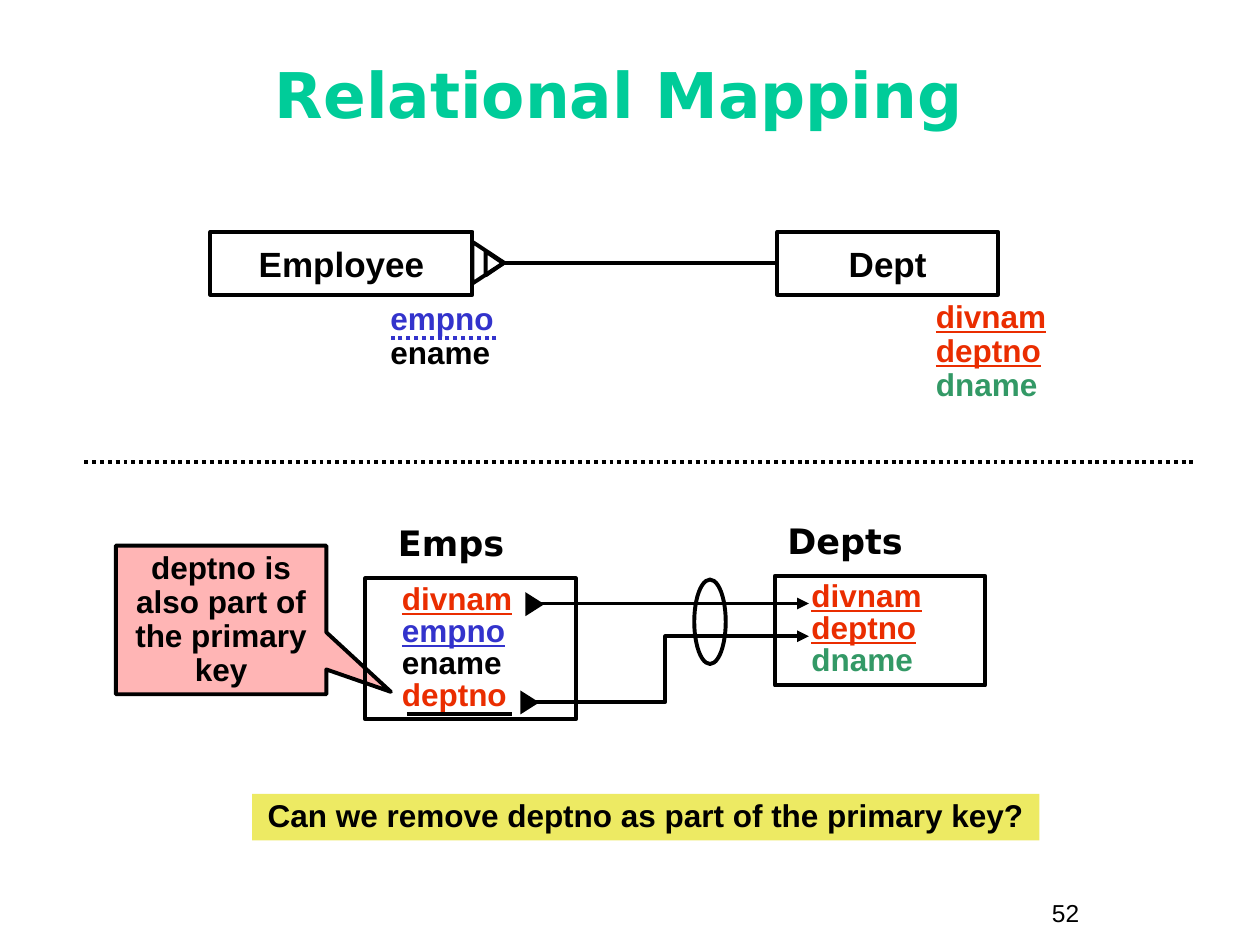
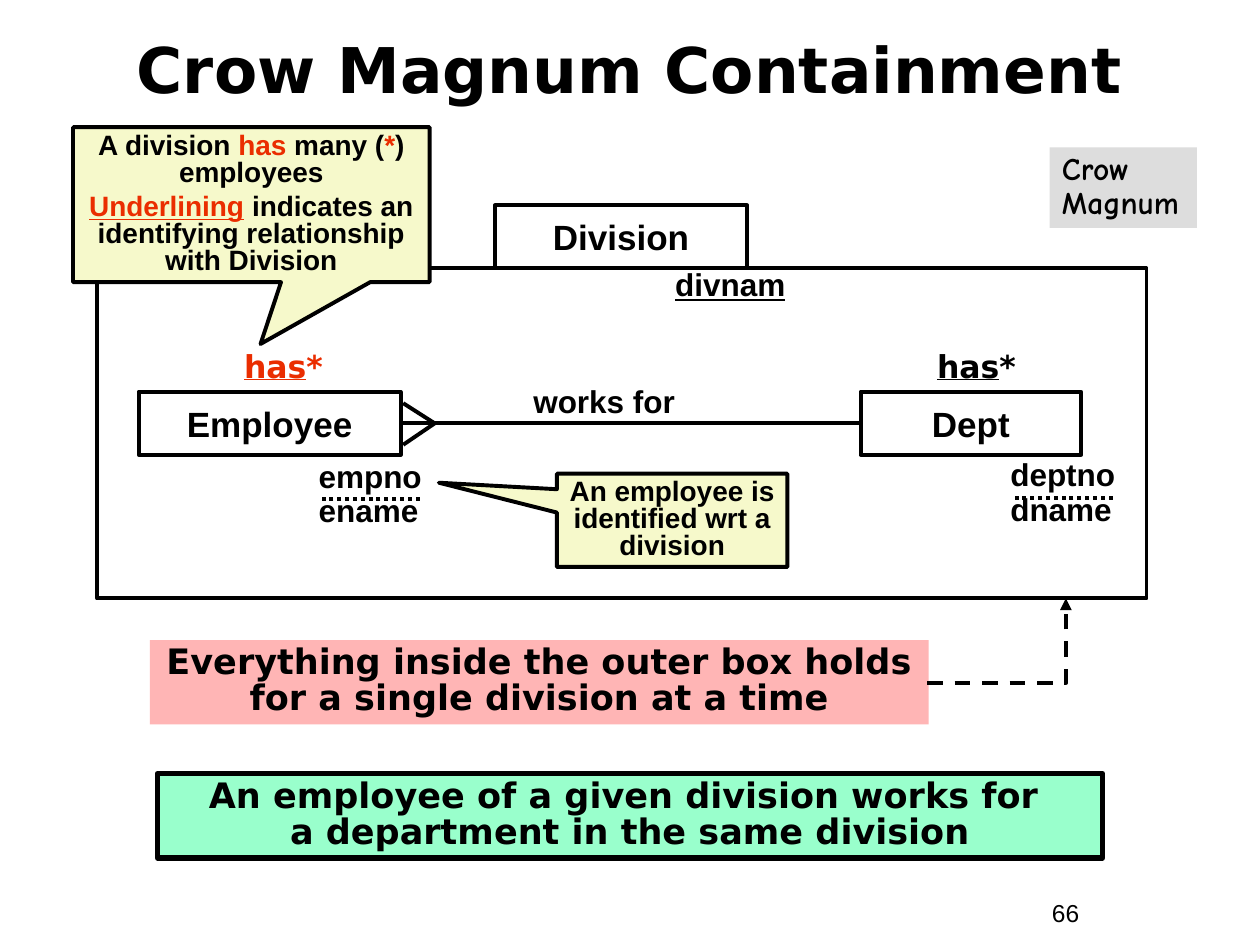
from collections import namedtuple

from lxml import etree
from pptx import Presentation
from pptx import util as u
from pptx.dml.color import RGBColor
from pptx.enum import dml, shapes, text
from pptx.oxml import ns

PX = 9144  # EMU per px, 100 px to the inch

INK = RGBColor(0x00, 0x00, 0x00)
TEAL = RGBColor(0x00, 0xCC, 0x99)
RED = RGBColor(0xEA, 0x2D, 0x00)
BLUE = RGBColor(0x33, 0x33, 0xCC)
GREEN = RGBColor(0x33, 0x99, 0x66)
PINK = RGBColor(0xFF, 0xB5, 0xB5)
YELLOW = RGBColor(0xED, 0xEA, 0x63)
CREAM = RGBColor(0xF6, 0xF9, 0xCB)
MINT = RGBColor(0x99, 0xFF, 0xCC)
GREY = RGBColor(0xDD, 0xDD, 0xDD)

BODY, HEADING, HAND = "Arial", "DejaVu Sans", "Comic Neue"
LEFT, CENTER = text.PP_ALIGN.LEFT, text.PP_ALIGN.CENTER
TOP, MIDDLE = text.MSO_ANCHOR.TOP, text.MSO_ANCHOR.MIDDLE
SHAPE = shapes.MSO_SHAPE
DOTS, DASHES = dml.MSO_LINE.ROUND_DOT, dml.MSO_LINE.DASH

Span = namedtuple("Span", "text color underline", defaults=(INK, False))


def key(name, color=INK):
    return Span(name, color, True)


class Deck:
    """Holds the shared style and the slide being drawn."""

    def __init__(self):
        self.presentation = Presentation()
        self.presentation.slide_width = 1000 * PX
        self.presentation.slide_height = 750 * PX
        self.slide = None

    def new_slide(self, title, box, color, number):
        layout = self.presentation.slide_layouts[5]
        self.slide = self.presentation.slides.add_slide(layout)
        heading = self.slide.shapes.title
        heading.left, heading.top, heading.width, heading.height = (v * PX for v in box)
        self.set_lines(heading, [Span(title, color)], size=36, font=HEADING,
                       align=CENTER, anchor=MIDDLE, spacing=0.85)
        self.label((825, 708, 92, 34), [number], size=14, bold=False)

    def set_lines(self, shape, lines, size=18, font=BODY, bold=True, align=LEFT,
                  anchor=TOP, spacing=1.0, gap=0, indent=0):
        """Each line is a string, a Span, or a list of Spans."""
        frame = shape.text_frame
        frame.word_wrap = True
        frame.auto_size = text.MSO_AUTO_SIZE.NONE
        frame.vertical_anchor = anchor
        frame.margin_left = (10 + indent) * PX
        frame.margin_right = 10 * PX
        frame.margin_top = frame.margin_bottom = 5 * PX
        for index, line in enumerate(lines):
            paragraph = frame.add_paragraph() if index else frame.paragraphs[0]
            paragraph.alignment = align
            paragraph.line_spacing = spacing
            paragraph.space_before = u.Pt(gap if index else 0)
            if isinstance(line, list):
                spans = line
                for span in spans:
                    paragraph.add_run().text = span.text
            else:
                span = Span(line) if isinstance(line, str) else line
                paragraph.text = span.text
                spans = [span] * len(paragraph.runs)
            for run, span in zip(paragraph.runs, spans):
                run.font.name, run.font.size, run.font.bold = font, u.Pt(size), bold
                run.font.color.rgb = span.color
                run.font.underline = span.underline

    def label(self, box, lines, **style):
        shape = self.slide.shapes.add_textbox(*(v * PX for v in box))
        self.set_lines(shape, lines, **style)

    def shape(self, kind, box, fill=None, line=2.25, lines=(), **style):
        shape = self.slide.shapes.add_shape(kind, *(v * PX for v in box))
        shape.shadow.inherit = False
        if fill is None:
            shape.fill.background()
        else:
            shape.fill.solid()
            shape.fill.fore_color.rgb = fill
        if line:
            shape.line.color.rgb = INK
            shape.line.width = u.Pt(line)
        else:
            shape.line.fill.background()
        if lines:
            self.set_lines(shape, lines, **style)
        return shape

    def entity(self, name, x, y, width):
        return self.shape(SHAPE.RECTANGLE, (x, y, width, 50), lines=[name],
                          size=20, align=CENTER, anchor=MIDDLE)

    def callout(self, box, tip, fill, lines, **style):
        shape = self.shape(SHAPE.RECTANGULAR_CALLOUT, box, fill, lines=lines,
                           align=CENTER, anchor=MIDDLE, **style)
        shape.adjustments[0], shape.adjustments[1] = tip

    def banner(self, box, fill, lines, line=0, **style):
        self.shape(SHAPE.RECTANGLE, box, fill, line, lines, **style)

    def triangle(self, box, fill=None, line=2.25):
        """Triangle that points right; the box is the one before turning."""
        self.shape(SHAPE.ISOSCELES_TRIANGLE, box, fill, line).rotation = 90

    def connector(self, start, end, color=INK, dash=None, arrow=False, elbow=None):
        kind = shapes.MSO_CONNECTOR.ELBOW if elbow else shapes.MSO_CONNECTOR.STRAIGHT
        connector = self.slide.shapes.add_connector(
            kind, *(v * PX for v in (*start, *end)))
        connector.line.color.rgb = color
        connector.line.width = u.Pt(2.25)
        if dash:
            connector.line.dash_style = dash
        properties = connector._element.spPr
        if elbow:
            properties.find(ns.qn("a:prstGeom")).set("prst", elbow)
        if arrow:
            outline = properties.find(ns.qn("a:ln"))
            etree.SubElement(outline, ns.qn("a:tailEnd"), type="triangle")
        etree.SubElement(properties, ns.qn("a:effectLst"))
        return connector


def relational_mapping(deck):
    deck.new_slide("Relational Mapping ", (25, 33, 950, 92), TEAL, "52")

    # Entities and their relationship
    dept = deck.entity("Dept", 617, 184, 175)
    deck.entity("Employee", 167, 184, 208)
    deck.connector((400, 209), (617, 209)).end_connect(dept, 1)
    dept_columns = [key("divnam", RED), key("deptno", RED), Span("dname", GREEN)]
    deck.label((733, 234, 142, 91), dept_columns, spacing=0.9)
    deck.label((300, 236, 167, 64), [Span("empno", BLUE), "ename"], spacing=0.9)
    deck.connector((394, 268), (308, 268), BLUE, DOTS)
    deck.triangle((371, 196, 33, 25))
    deck.triangle((383, 202, 19, 14))

    # Remark and question
    deck.callout((92, 433, 167, 118), (0.807, 0.484), PINK,
                 ["deptno is also part of the primary key"], spacing=0.9)
    deck.banner((200, 630, 625, 37), YELLOW,
                ["Can we remove deptno as part of the primary key?"],
                align=CENTER, spacing=0.9)

    # Tables
    emp_columns = [key("divnam", RED), key("empno", BLUE), "ename", Span("deptno", RED)]
    for name, name_x, x, y, height, columns in (
            ("Depts", 615, 615, 457, 87, dept_columns),
            ("Emps", 306, 290, 459, 112, emp_columns)):
        deck.label((name_x, y - 50, 160, 44), [name], size=20, font=HEADING)
        deck.shape(SHAPE.RECTANGLE, (x, y, 167, height), lines=columns,
                   spacing=0.85, indent=19)

    # Foreign key
    deck.connector((419, 479), (642, 479), arrow=True)
    deck.connector((414, 557), (642, 505), arrow=True, elbow="bentConnector3")
    deck.shape(SHAPE.OVAL, (551, 460, 25, 67))
    for x, y in ((411, 550), (415, 472)):
        deck.triangle((x, y, 19, 15), INK, line=0)
    deck.connector((323, 567), (406, 567))

    # Divider
    deck.connector((67, 367), (950, 367), dash=DOTS)


def crow_magnum_containment(deck):
    # Title and outer division box
    deck.new_slide("Crow Magnum Containment", (33, 13, 933, 92), INK, "66")
    deck.shape(SHAPE.RECTANGLE, (77, 213, 833, 262))
    deck.entity("Division", 393, 163, 200)
    deck.label((526, 209, 132, 37), [key("divnam")], spacing=0.9)

    # Statements
    statement = dict(size=20, font=HEADING, align=CENTER, spacing=0.85)
    deck.banner((119, 508, 618, 67), PINK,
                ["Everything inside the outer box holds for a single division at a time"],
                **statement)
    deck.connector((736, 542), (846, 475), dash=DASHES, arrow=True,
                   elbow="bentConnector2")
    deck.banner((125, 614, 750, 67), MINT,
                ["An employee of a given division works for \n"
                 "a department in the same division"], line=3, **statement)

    # Contained entities with their attributes
    dept = deck.entity("Dept", 683, 311, 175)
    employee = deck.entity("Employee", 110, 311, 208)
    for x, y, names, dots in ((243, 361, ["empno", "ename"], 255),
                              (792, 360, ["deptno", "dname"], 805)):
        deck.label((x, y, 132, 64), names, spacing=0.9)
        deck.connector((dots + 78, y + 35), (dots, y + 35), dash=DOTS)

    # Relationship with crow's foot
    deck.label((367, 303, 225, 36), ["works for"], align=CENTER, spacing=0.85)
    works_for = deck.connector((683, 336), (318, 336))
    works_for.begin_connect(dept, 1)
    works_for.end_connect(employee, 3)
    for y in (320, 353):
        deck.connector((345, 336), (320, y))
    for x, color in ((125, RED), (675, INK)):
        deck.label((x, 275, 200, 36), [[key("has", color), Span("*", color)]],
                   font=HEADING, align=CENTER, spacing=0.85)

    # Remarks
    remark = dict(size=16, spacing=0.8, gap=4)
    deck.callout((442, 376, 183, 74), (-1.012, -0.403), CREAM,
                 ["An employee is identified wrt a division"], **remark)
    deck.callout((58, 101, 283, 123), (0.026, 0.899), CREAM, [
        [Span("A division "), Span("has", RED), Span(" many ("), Span("*", RED),
         Span(") employees")],
        [key("Underlining", RED),
         Span(" indicates an identifying relationship with Division")],
    ], **remark)
    deck.banner((833, 117, 117, 64), GREY, ["Crow\nMagnum"], font=HAND, spacing=0.9)


def main():
    deck = Deck()
    relational_mapping(deck)
    crow_magnum_containment(deck)
    deck.presentation.save("out.pptx")


if __name__ == "__main__":
    main()
